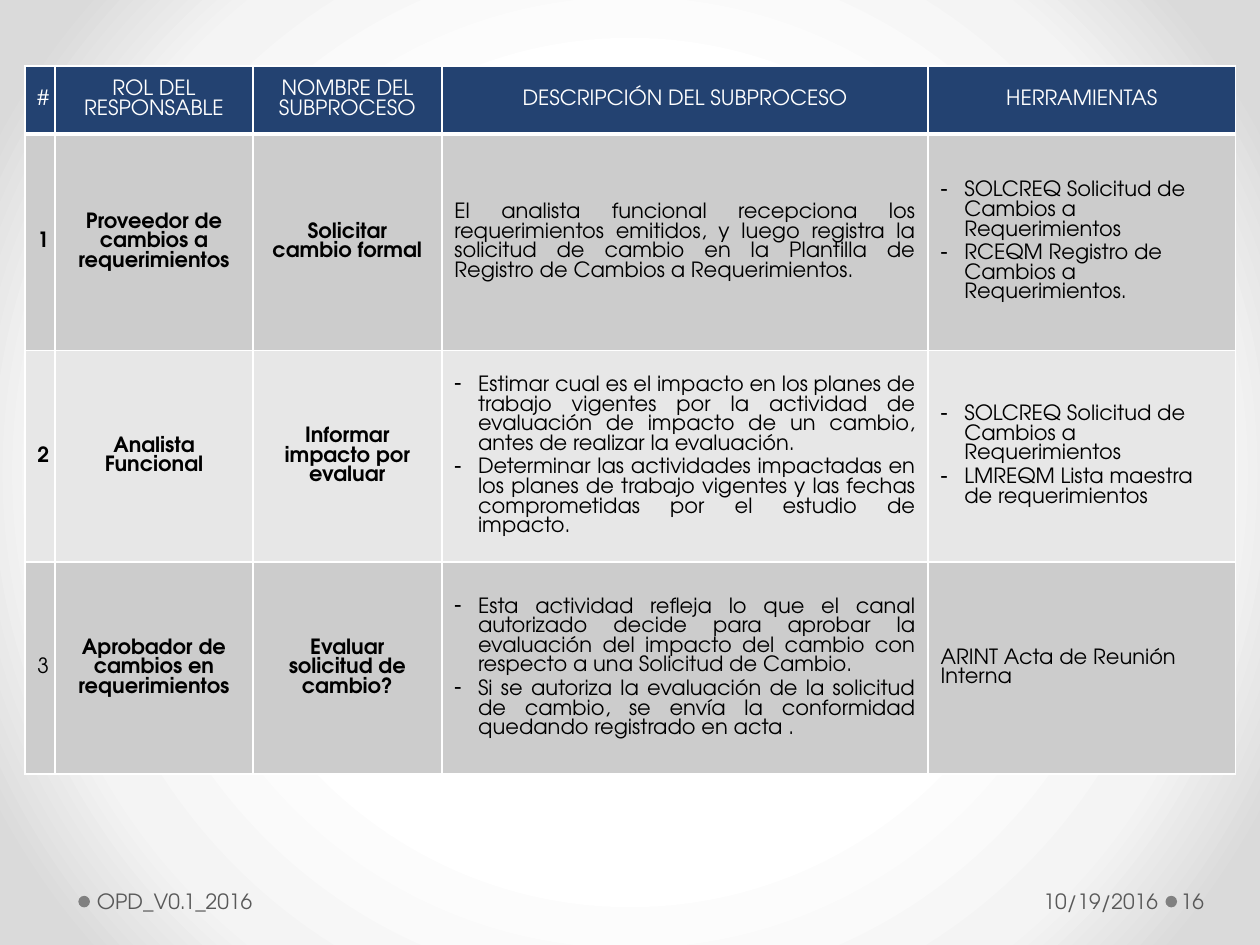
import lxml.etree
import pptx
import pptx.dml.color
import pptx.enum.shapes
import pptx.enum.text
import pptx.oxml.ns
import pptx.util

Pt = pptx.util.Pt
qn = pptx.oxml.ns.qn
ALIGN = pptx.enum.text.PP_ALIGN
MIDDLE = pptx.enum.text.MSO_ANCHOR.MIDDLE

FONT = "TeX Gyre Adventor"
NAVY, WHITE, BLACK = "234271", "FFFFFF", "000000"
DARK_BAND, LIGHT_BAND = "CCCCCC", "E7E7E7"
FOOTER_TEXT, FOOTER_DOT = "595959", "808080"
BACKGROUND_STOPS = [(50, "FFFFFF"), (76, "F4F4F4"), (92, "DADADA")]

COLUMN_WIDTHS = [17.3, 113, 108, 277.9, 175.7]
ROW_HEIGHTS = [38.9, 123.8, 121, 121]
HEADERS = ["#", "ROL DEL RESPONSABLE", "NOMBRE DEL SUBPROCESO",
           "DESCRIPCIÓN DEL SUBPROCESO", "HERRAMIENTAS"]
# Number, role, subprocess, description and tools; a list becomes dashed items
ROWS = [
    ["1", "Proveedor de cambios a requerimientos", "Solicitar cambio formal",
     "El analista funcional recepciona los requerimientos emitidos, y luego registra "
     "la solicitud de cambio en la Plantilla de Registro de Cambios a Requerimientos.",
     ["SOLCREQ Solicitud de Cambios a Requerimientos",
      "RCEQM Registro de Cambios a Requerimientos."]],
    ["2", "Analista Funcional", "Informar impacto por evaluar",
     ["Estimar cual es el impacto en los planes de trabajo vigentes por la actividad de "
      "evaluación de impacto de un cambio, antes de realizar la evaluación.",
      "Determinar las actividades impactadas en los planes de trabajo vigentes y las "
      "fechas comprometidas por el estudio de impacto."],
     ["SOLCREQ Solicitud de Cambios a Requerimientos",
      "LMREQM Lista maestra de requerimientos"]],
    ["3", "Aprobador de cambios en requerimientos", "Evaluar solicitud de cambio?",
     ["Esta actividad refleja lo que el canal autorizado decide para aprobar la "
      "evaluación del impacto del cambio con respecto a una Solicitud de Cambio.",
      "Si se autoriza la evaluación de la solicitud de cambio, se envía la conformidad "
      "quedando registrado en acta ."],
     "ARINT Acta de Reunión Interna"],
]
BODY_ALIGNMENTS = [ALIGN.CENTER] * 3 + [ALIGN.JUSTIFY, ALIGN.LEFT]


def rgb(hex_color):
    return pptx.dml.color.RGBColor.from_string(hex_color)


def add_color(parent, hex_color):
    lxml.etree.SubElement(parent, qn("a:srgbClr"), val=hex_color)


def set_background(slide):
    """Radial gradient spreading from the centre of the slide."""
    slide.background.fill.gradient()
    gradient = next(slide.element.iter(qn("a:gradFill")))
    for child in list(gradient):
        gradient.remove(child)
    stops = lxml.etree.SubElement(gradient, qn("a:gsLst"))
    for position, color in BACKGROUND_STOPS:
        add_color(lxml.etree.SubElement(stops, qn("a:gs"), pos=str(position * 1000)), color)
    circle = lxml.etree.SubElement(gradient, qn("a:path"), path="circle")
    lxml.etree.SubElement(circle, qn("a:fillToRect"),
                          {side: "50000" for side in "ltrb"})


def add_dash(paragraph):
    properties = paragraph._p.get_or_add_pPr()
    properties.set("marL", str(Pt(13.5)))
    properties.set("indent", str(-Pt(13.5)))
    lxml.etree.SubElement(properties, qn("a:buChar"), char="-")


def write_text(frame, content, color, alignment, bold=False):
    dashed = isinstance(content, list)
    for index, text in enumerate(content if dashed else [content]):
        paragraph = frame.add_paragraph() if index else frame.paragraphs[0]
        if dashed:
            add_dash(paragraph)
        if index:
            paragraph.space_before = Pt(2.4)
        paragraph.alignment = alignment
        run = paragraph.add_run()
        run.text = text
        run.font.name = FONT
        run.font.size = Pt(12)
        run.font.bold = bold
        run.font.color.rgb = rgb(color)


def set_borders(cell, bottom_width):
    properties = cell._tc.get_or_add_tcPr()
    for index, (side, width) in enumerate(zip("LRTB", [1, 1, 1, bottom_width])):
        line = lxml.etree.Element(qn("a:ln" + side), w=str(Pt(width)))
        add_color(lxml.etree.SubElement(line, qn("a:solidFill")), WHITE)
        properties.insert(index, line)


def format_cell(cell, fill, bottom_width=1):
    cell.vertical_anchor = MIDDLE
    cell.fill.solid()
    cell.fill.fore_color.rgb = rgb(fill)
    set_borders(cell, bottom_width)


def add_process_table(slide):
    table = slide.shapes.add_table(
        len(ROW_HEIGHTS), len(COLUMN_WIDTHS), Pt(14.2), Pt(37.6),
        Pt(sum(COLUMN_WIDTHS)), Pt(sum(ROW_HEIGHTS))).table
    for column, width in zip(table.columns, COLUMN_WIDTHS):
        column.width = Pt(width)
    for row, height in zip(table.rows, ROW_HEIGHTS):
        row.height = Pt(height)

    # Header row
    for index, header in enumerate(HEADERS):
        cell = table.cell(0, index)
        format_cell(cell, NAVY, bottom_width=3)
        write_text(cell.text_frame, header, WHITE, ALIGN.CENTER)

    # Banded body rows
    for row_index, row in enumerate(ROWS, start=1):
        for column_index, content in enumerate(row):
            cell = table.cell(row_index, column_index)
            format_cell(cell, DARK_BAND if row_index % 2 else LIGHT_BAND)
            alignment = ALIGN.JUSTIFY if content == "3" else BODY_ALIGNMENTS[column_index]
            bold = column_index < 3 and content != "3"
            write_text(cell.text_frame, content, BLACK, alignment, bold)


def add_footer_text(slide, text, left, width, margins, alignment=ALIGN.LEFT):
    frame = slide.shapes.add_textbox(Pt(left), Pt(500.4), Pt(width), Pt(28.8)).text_frame
    frame.word_wrap = True
    frame.vertical_anchor = MIDDLE
    frame.margin_left, frame.margin_right = (Pt(margin) for margin in margins)
    write_text(frame, text, FOOTER_TEXT, alignment)


def add_footer_dot(slide, left):
    dot = slide.shapes.add_shape(pptx.enum.shapes.MSO_SHAPE.OVAL,
                                 Pt(left), Pt(511.9), Pt(6.6), Pt(6.6))
    dot.shadow.inherit = False
    dot.fill.solid()
    dot.fill.fore_color.rgb = rgb(FOOTER_DOT)
    dot.line.fill.background()


def main():
    presentation = pptx.Presentation()
    presentation.slide_width, presentation.slide_height = Pt(720), Pt(540)
    slide = presentation.slides.add_slide(presentation.slide_layouts[6])
    set_background(slide)

    # Footer dots, behind the rest
    for left in (666, 44.8):
        add_footer_dot(slide, left)

    add_process_table(slide)

    # Footer: document, date and page number
    add_footer_text(slide, "OPD_V0.1_2016", 51.8, 285, (3.6, 7.2))
    add_footer_text(slide, "10/19/2016", 501.1, 164.2, (7.2, 3.6), ALIGN.RIGHT)
    add_footer_text(slide, "16", 672.5, 44, (2.2, 3.6))
    presentation.save("out.pptx")


if __name__ == "__main__":
    main()
